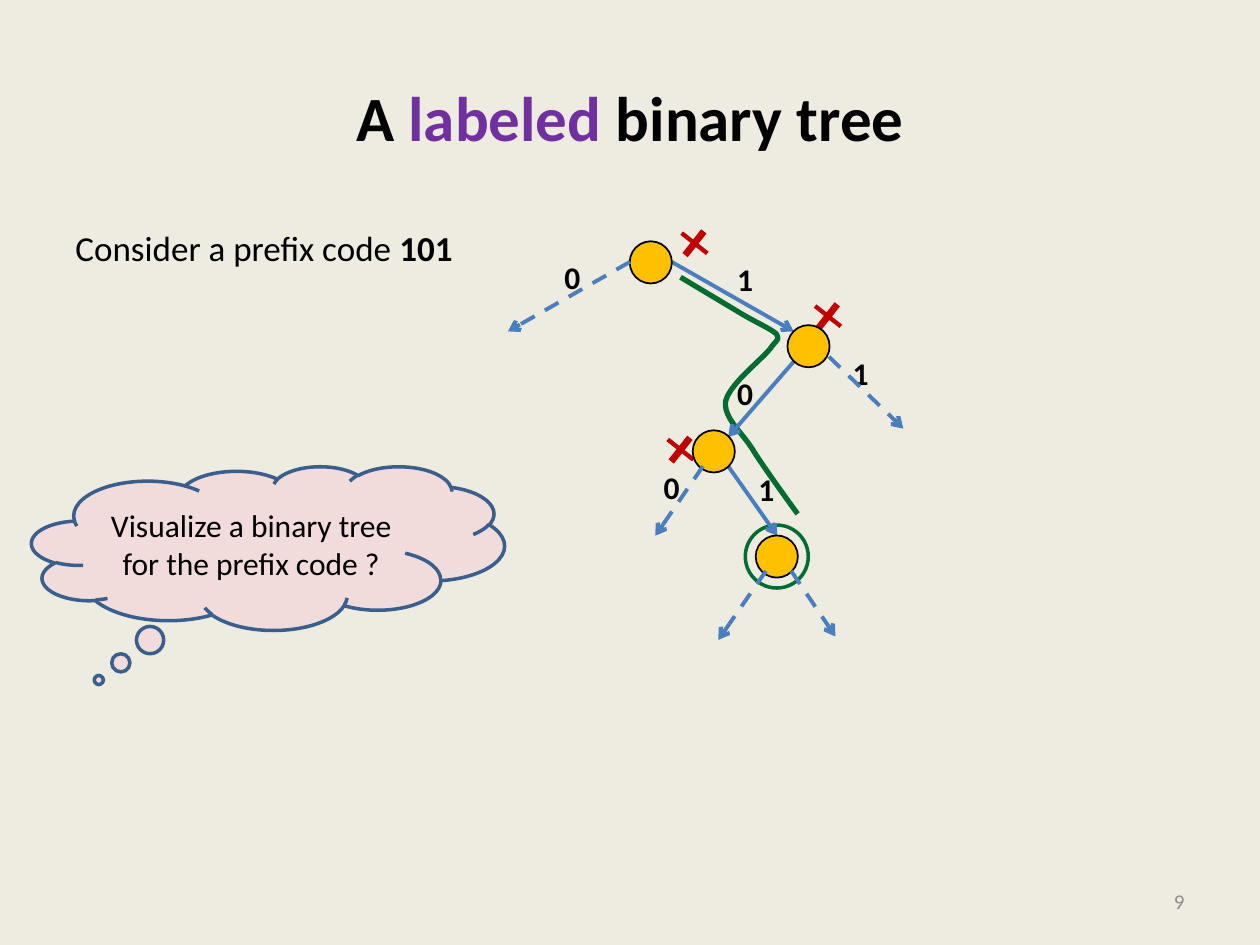
from lxml.etree import SubElement
from pptx import Presentation
from pptx.dml.color import RGBColor
from pptx.enum.dml import MSO_LINE
from pptx.enum.shapes import MSO_CONNECTOR, MSO_SHAPE
from pptx.enum.text import MSO_ANCHOR, MSO_AUTO_SIZE, PP_ALIGN
from pptx.oxml.ns import qn
from pptx.util import Cm, Pt

COLORS = {
    "background": "EEECE1", "text": "000000", "accent": "7030A0",
    "number": "8C8C8C", "path": "006C31", "cross": "C00000",
    "edge": "4B7EBC", "node": "FFC000", "cloud": "F2DCDB",
    "cloud_line": "3A5F8C",
}
NODE_SIZE, RING_SIZE = 0.85, 1.27
NODES = [(2.92, 0.69), (6.1, 2.38), (4.19, 4.5), (5.46, 6.62)]
SOLID_EDGES = [
    ((3.34, 0.68), (5.8, 2.08)),
    ((5.8, 2.69), (4.48, 4.21)),
    ((4.48, 4.8), (5.47, 6.2)),
]
DASHED_EDGES = [
    ((2.5, 0.68), (0.04, 2.08)),
    ((6.51, 2.59), (8.01, 4.04)),
    ((3.97, 4.8), (3.01, 6.2)),
    ((5.24, 6.91), (4.28, 8.3)),
    ((5.75, 6.91), (6.64, 8.23)),
]
BITS = [
    ("0", 0.93, 0.48), ("1", 4.41, 0.51), ("0", 4.41, 2.82),
    ("1", 6.74, 2.41), ("0", 2.93, 4.72), ("1", 4.84, 4.75),
]
CROSSES = [(3.47, 0), (6.16, 1.47), (3.19, 4.16)]
PATH_START = (3.52, 0.99)
PATH_BEND = (4.74, 1.72)
PATH_CURVES = [
    ((5.04, 1.9), (5.34, 2.03), (5.45, 2.13)),
    ((5.52, 2.26), (5.47, 2.23), (5.32, 2.44)),
    ((5.14, 2.66), (4.51, 3.15), (4.43, 3.48)),
    ((4.38, 3.81), (4.71, 4.06), (4.96, 4.44)),
    ((5.19, 4.82), (5.88, 5.76), (5.88, 5.76)),
]


def color(name):
    """Return the named colour."""
    return RGBColor.from_string(COLORS[name])


def write(frame, pieces, size, align=PP_ALIGN.LEFT):
    """Write (text, bold, colour) pieces as one paragraph."""
    paragraph = frame.paragraphs[0]
    paragraph.alignment = align
    for words, bold, tint in pieces:
        run = paragraph.add_run()
        run.text = words
        run.font.name = "Calibri"
        run.font.size = Pt(size)
        run.font.bold = bold
        run.font.color.rgb = color(tint)
    return paragraph


def add_text(slide, box, pieces, size, align=PP_ALIGN.LEFT,
             anchor=MSO_ANCHOR.TOP, wrap=True):
    """Add a text box and return its paragraph."""
    frame = slide.shapes.add_textbox(*map(Cm, box)).text_frame
    frame.word_wrap = wrap
    frame.auto_size = MSO_AUTO_SIZE.NONE if wrap else MSO_AUTO_SIZE.SHAPE_TO_FIT_TEXT
    frame.vertical_anchor = anchor
    return write(frame, pieces, size, align)


def paint(shape, fill=None, line=None, width=1):
    """Set fill and outline, leaving out whichever is not named."""
    shape.shadow.inherit = False
    if fill:
        shape.fill.solid()
        shape.fill.fore_color.rgb = color(fill)
    else:
        shape.fill.background()
    if line:
        shape.line.color.rgb = color(line)
        shape.line.width = Pt(width)
    else:
        shape.line.fill.background()


def add_circle(slide, x, y, diameter, **style):
    """Add a circle around a centre."""
    corner = Cm(x - diameter / 2), Cm(y - diameter / 2)
    circle = slide.shapes.add_shape(
        MSO_SHAPE.OVAL, *corner, Cm(diameter), Cm(diameter))
    paint(circle, **style)


def add_edge(slide, start, end, dashed):
    """Add an arrow from parent to child."""
    edge = slide.shapes.add_connector(
        MSO_CONNECTOR.STRAIGHT, *map(Cm, start + end))
    edge.line.color.rgb = color("edge")
    edge.line.width = Pt(2.25)
    if dashed:
        edge.line.dash_style = MSO_LINE.DASH
    SubElement(edge.line._get_or_add_ln(), qn("a:tailEnd"), type="arrow")
    SubElement(edge._element.spPr, qn("a:effectLst"))


def curve_points(start, control_1, control_2, end, steps=10):
    """Return points along a cubic curve, without its start."""
    points = []
    for step in range(1, steps + 1):
        t = step / steps
        weights = (1 - t) ** 3, 3 * t * (1 - t) ** 2, 3 * t * t * (1 - t), t ** 3
        corners = zip(start, control_1, control_2, end)
        points.append(tuple(
            sum(w * c for w, c in zip(weights, axis)) for axis in corners))
    return points


def add_code_path(slide, place):
    """Draw the walk from root to leaf."""
    points = [PATH_START, PATH_BEND]
    for curve in PATH_CURVES:
        points += curve_points(points[-1], *curve)
    corners = [tuple(map(Cm, place(point))) for point in points]
    builder = slide.shapes.build_freeform(*corners[0])
    builder.add_line_segments(corners[1:], close=False)
    paint(builder.convert_to_shape(), line="path", width=3)


def add_tree(slide, left, top):
    """Draw the labeled tree from its top left corner."""
    def place(point):
        """Move a tree point onto the slide."""
        return left + point[0], top + point[1]

    add_code_path(slide, place)
    add_circle(slide, *place(NODES[-1]), RING_SIZE, line="path", width=2)
    for corner in CROSSES:
        cross = slide.shapes.add_shape(
            MSO_SHAPE.CROSS, *map(Cm, place(corner)), Cm(0.66), Cm(0.61))
        cross.adjustments[0] = 0.428
        cross.rotation = 38.3
        paint(cross, fill="cross")
    for bit, x, y in BITS:
        add_text(slide, (*place((x, y)), 0.84, 1.02),
                 [(bit, True, "text")], 18, wrap=False)
    for start, end in SOLID_EDGES:
        add_edge(slide, place(start), place(end), False)
    for node in NODES:
        add_circle(slide, *place(node), NODE_SIZE, fill="node", line="text")
    for start, end in DASHED_EDGES:
        add_edge(slide, place(start), place(end), True)


def add_question(slide, left, top, width, height):
    """Draw the thought cloud with its question."""
    cloud = slide.shapes.add_shape(
        MSO_SHAPE.CLOUD_CALLOUT, *map(Cm, (left, top, width, height)))
    cloud.adjustments[0] = -0.358
    cloud.adjustments[1] = 0.806
    paint(cloud, "cloud", "cloud_line", 2)
    cloud.text_frame.word_wrap = True
    cloud.text_frame.vertical_anchor = MSO_ANCHOR.MIDDLE
    question = "Visualize a binary tree for the prefix code ?"
    write(cloud.text_frame, [(question, False, "text")], 18, PP_ALIGN.CENTER)


def add_wording(slide, left, width):
    """Place title, statement and slide number in one column."""
    title = [("A ", True, "text"), ("labeled", True, "accent"),
             (" binary tree", True, "text")]
    add_text(slide, (left, 0.76, width, 3.18), title, 36,
             PP_ALIGN.CENTER, MSO_ANCHOR.MIDDLE)
    statement = [("Consider a prefix code ", False, "text"), ("101", True, "text")]
    body = add_text(slide, (left, 4.45, width, 12.57), statement, 20)
    body.space_before = Pt(4)
    number_width = 5.92
    add_text(slide, (left + width - number_width, 17.65, number_width, 1.02),
             [("9", False, "number")], 12, PP_ALIGN.RIGHT, MSO_ANCHOR.MIDDLE)


def main():
    """Build and save the slide."""
    deck = Presentation()
    deck.slide_width, deck.slide_height = Cm(25.4), Cm(19.05)
    slide = deck.slides.add_slide(deck.slide_layouts[6])
    slide.background.fill.solid()
    slide.background.fill.fore_color.rgb = color("background")
    add_wording(slide, 1.27, 22.86)
    add_tree(slide, 10.2, 4.6)
    add_question(slide, 0.64, 9.4, 9.53, 3.3)
    deck.save("out.pptx")


if __name__ == "__main__":
    main()
